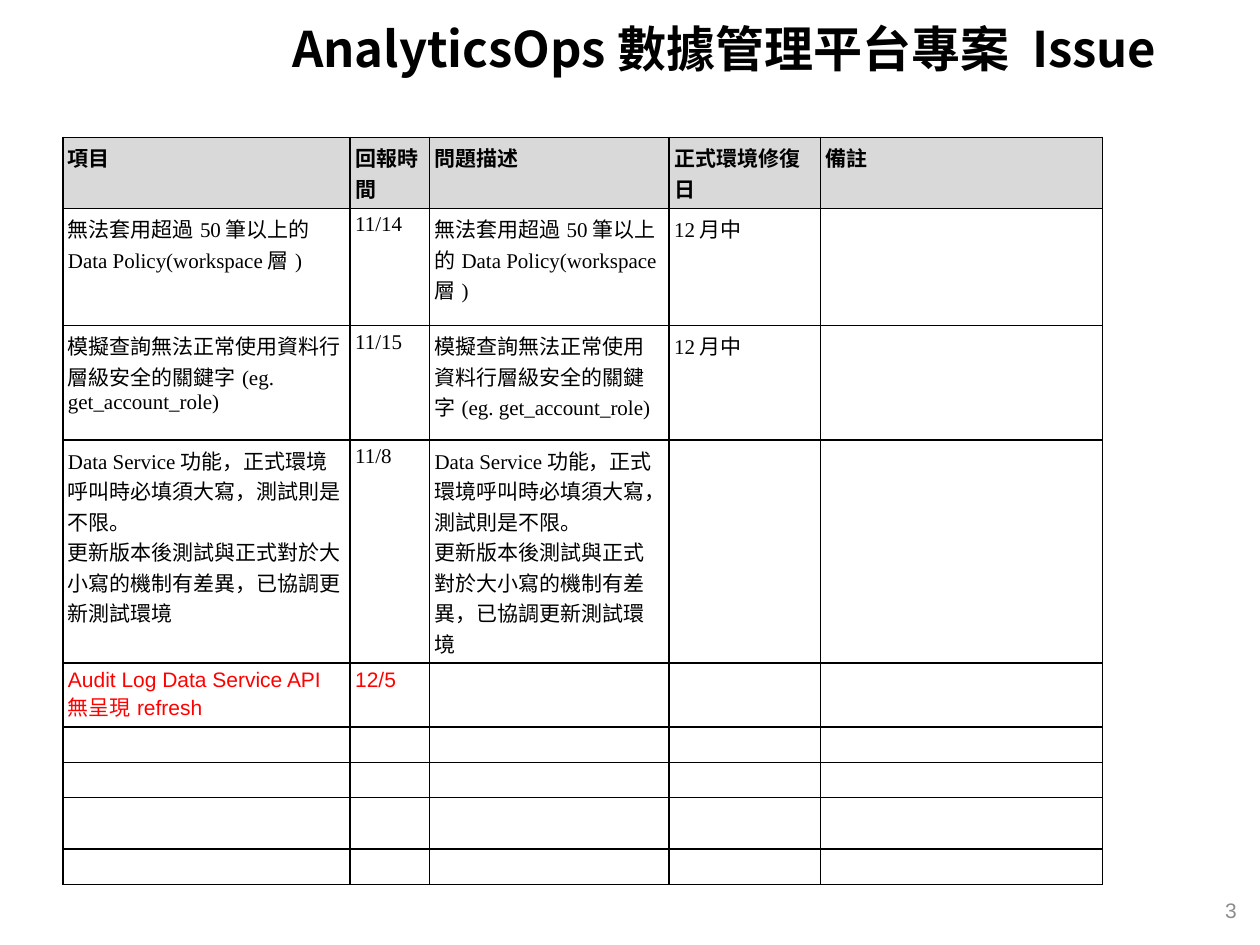
from dataclasses import dataclass

from lxml import etree
from pptx import Presentation
from pptx.dml.color import RGBColor
from pptx.enum.text import MSO_ANCHOR, PP_ALIGN
from pptx.oxml.ns import qn
from pptx.slide import Slide
from pptx.table import _Cell
from pptx.text.text import TextFrame
from pptx.util import Cm, Pt

TOP, MIDDLE = MSO_ANCHOR.TOP, MSO_ANCHOR.MIDDLE
LEFT, RIGHT = PP_ALIGN.LEFT, PP_ALIGN.RIGHT
BLACK = RGBColor(0, 0, 0)
RED = RGBColor(0xFF, 0, 0)
GRAY = RGBColor(0x8C, 0x8C, 0x8C)
HEADER_FILL = RGBColor(0xD9, 0xD9, 0xD9)
NOTO, TIMES, ARIAL = "Noto Sans CJK SC", "Times New Roman", "Arial"
CELL_INSET = Cm(0.1)
BORDER_SIDES = ("lnL", "lnR", "lnT", "lnB")


@dataclass(frozen=True)
class Style:
    size: float
    font: str
    color: RGBColor = BLACK
    bold: bool = False


@dataclass(frozen=True)
class Label:
    text: str
    left: float
    top: float
    width: float
    height: float
    style: Style
    align: PP_ALIGN
    anchor: MSO_ANCHOR
    inset_top: float


@dataclass(frozen=True)
class Row:
    height: float
    texts: tuple[str, ...] = ()
    style: Style = Style(12, TIMES)
    fill: RGBColor | None = None


POLICY = "無法套用超過50筆以上的Data Policy(workspace層)"
QUERY = "模擬查詢無法正常使用資料行層級安全的關鍵字(eg. get_account_role)"
SERVICE = (
    "Data Service功能，正式環境呼叫時必填須大寫，測試則是不限。\n"
    "更新版本後測試與正式對於大小寫的機制有差異，已協調更新測試環境"
)
COLUMN_WIDTHS = (5.79, 1.6, 4.83, 3.05, 5.68)
ROWS = (
    Row(0.71, ("項目", "回報時間", "問題描述", "正式環境修復日", "備註"),
        Style(12, TIMES, bold=True), HEADER_FILL),
    Row(2.36, (POLICY, "11/14", POLICY, "12月中")),
    Row(2.31, (QUERY, "11/15", QUERY, "12月中")),
    Row(2.69, (SERVICE, "11/8", SERVICE)),
    Row(1.22, ("Audit Log Data Service API無呈現refresh", "12/5"),
        Style(12, ARIAL, RED)),
    Row(0.71),
    Row(0.71),
    Row(1.04),
    Row(0.71),
)
LABELS = (
    Label("AnalyticsOps數據管理平台專案 Issue", 5.64, 0.38, 19.35, 1.75,
          Style(28, NOTO, bold=True), LEFT, TOP, 0),
    Label("3", 19.46, 17.83, 5.72, 1.02,
          Style(12, ARIAL, GRAY), RIGHT, MIDDLE, 0.13),
)


def write(tf: TextFrame, text: str, style: Style, align: PP_ALIGN = LEFT) -> None:
    """Fill a text frame and format its runs and paragraph ends."""
    tf.text = text
    tf.word_wrap = True
    for p in tf.paragraphs:
        p.alignment = align
        for r in p.runs:
            r.font.size = Pt(style.size)
            r.font.name = style.font
            r.font.bold = style.bold
            r.font.color.rgb = style.color
            ea = etree.SubElement(r._r.get_or_add_rPr(), qn("a:ea"))
            ea.set("typeface", NOTO)
        if not p.runs:
            end = etree.SubElement(p._p, qn("a:endParaRPr"))
            end.set("sz", str(int(style.size * 100)))
            etree.SubElement(end, qn("a:latin")).set("typeface", style.font)


def add_borders(cell: _Cell) -> None:
    """Draw a thin black line on each side of a cell."""
    tc_pr = cell._tc.get_or_add_tcPr()
    for side in BORDER_SIDES:
        ln = etree.SubElement(tc_pr, qn(f"a:{side}"), w=str(Pt(1)))
        fill = etree.SubElement(ln, qn("a:solidFill"))
        etree.SubElement(fill, qn("a:srgbClr"), val=str(BLACK))


def add_label(s: Slide, label: Label) -> None:
    """Add one text box."""
    sp = s.shapes.add_textbox(
        Cm(label.left), Cm(label.top), Cm(label.width), Cm(label.height)
    )
    tf = sp.text_frame
    tf.vertical_anchor = label.anchor
    tf.margin_top = Cm(label.inset_top)
    write(tf, label.text, label.style, label.align)


def add_issue_table(s: Slide, left: float, top: float) -> None:
    """Add the issue table."""
    table = s.shapes.add_table(
        len(ROWS), len(COLUMN_WIDTHS), Cm(left), Cm(top),
        Cm(sum(COLUMN_WIDTHS)), Cm(sum(row.height for row in ROWS)),
    ).table
    for column, width in zip(table.columns, COLUMN_WIDTHS):
        column.width = Cm(width)
    for i, row in enumerate(ROWS):
        table.rows[i].height = Cm(row.height)
        for j, cell in enumerate(table.rows[i].cells):
            cell.margin_left = cell.margin_right = CELL_INSET
            cell.margin_top = cell.margin_bottom = CELL_INSET
            add_borders(cell)
            if row.fill is None:
                cell.fill.background()
            else:
                cell.fill.solid()
                cell.fill.fore_color.rgb = row.fill
            text = row.texts[j] if j < len(row.texts) else ""
            write(cell.text_frame, text, row.style)


def main() -> None:
    """Build and save the issue slide."""
    prs = Presentation()
    prs.slide_width, prs.slide_height = Cm(25.4), Cm(19.05)
    s = prs.slides.add_slide(prs.slide_layouts[6])
    add_issue_table(s, 1.27, 2.77)
    for label in LABELS:
        add_label(s, label)
    prs.save("out.pptx")


if __name__ == "__main__":
    main()
